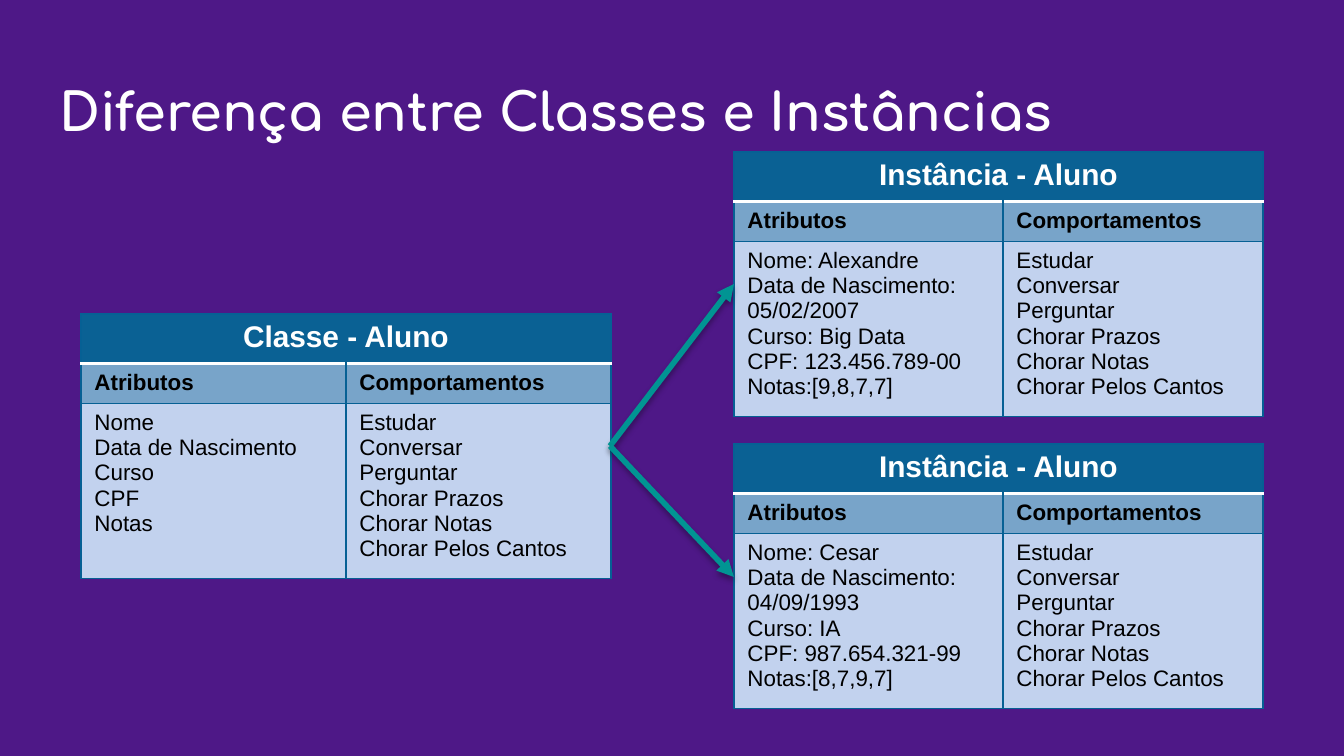
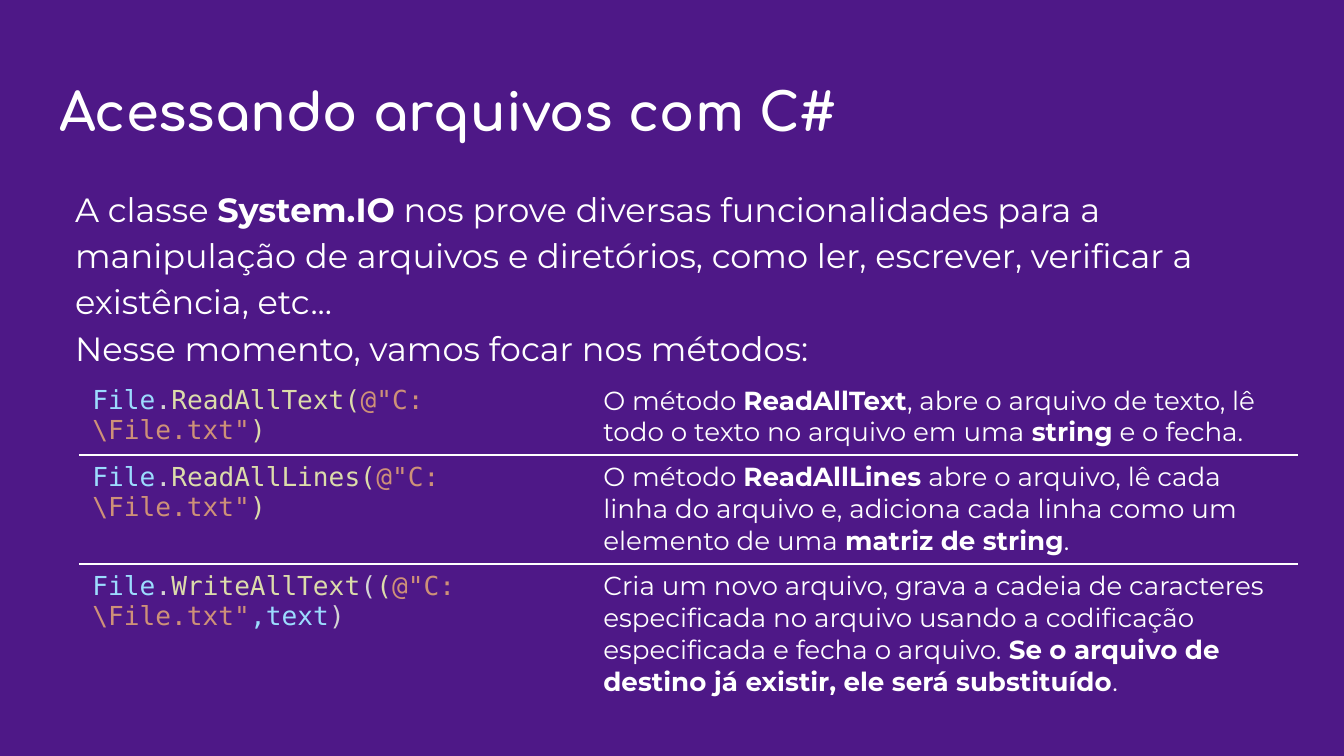
"""Build two slides: classes versus instances, and file access with C#."""
from dataclasses import dataclass

from lxml import etree
from pptx import Presentation
from pptx import util as u
from pptx.dml.color import RGBColor
from pptx.enum import shapes, text
from pptx.oxml import parse_xml
from pptx.oxml.ns import nsdecls, qn


@dataclass(frozen=True)
class Theme:
    background: str = "4E1887"
    white: str = "FFFFFF"
    black: str = "000000"
    header: str = "0A6194"
    subheader: str = "78A4C9"
    cell: str = "C2D2EE"
    border: str = "066094"
    arrow: str = "019493"
    code_name: str = "9CDCFE"
    code_mark: str = "D4D4D4"
    code_method: str = "DCDCAA"
    code_string: str = "CE9178"
    title_font: str = "Comfortaa"
    body_font: str = "Montserrat"
    table_font: str = "Arial"
    code_font: str = "DejaVu Sans Mono"
    title_size: int = 28
    body_size: int = 18
    header_size: int = 16
    method_size: int = 14
    table_size: int = 12


THEME = Theme()
PX = 6804


def write(para, runs, font, size):
    for words, colour, bold in runs:
        span = para.add_run()
        span.text = words
        span.font.name = font
        span.font.size = u.Pt(size)
        span.font.bold = bold
        span.font.color.rgb = RGBColor.from_string(colour)


def paint(cell, fill, borders):
    if fill:
        cell.fill.solid()
        cell.fill.fore_color.rgb = RGBColor.from_string(fill)
    else:
        cell.fill.background()
    properties = cell._tc.get_or_add_tcPr()
    for index, side in enumerate("LRTB"):
        colour, points = borders.get(side, (None, 0))
        line = etree.Element(qn(f"a:ln{side}"), w=str(u.Pt(points)))
        if colour:
            solid = etree.SubElement(line, qn("a:solidFill"))
            etree.SubElement(solid, qn("a:srgbClr"), val=colour)
        else:
            etree.SubElement(line, qn("a:noFill"))
        properties.insert(index, line)


deck = Presentation()
deck.slide_width = 1344 * PX
deck.slide_height = 756 * PX

pages = []
for title in ("Diferença entre Classes e Instâncias", "Acessando arquivos com C#"):
    page = deck.slides.add_slide(deck.slide_layouts[6])
    page.background.fill.solid()
    page.background.fill.fore_color.rgb = RGBColor.from_string(THEME.background)
    box = page.shapes.add_textbox(46 * PX, 66 * PX, 1253 * PX, 85 * PX)
    frame = box.text_frame
    frame.word_wrap = True
    frame.margin_left = frame.margin_right = frame.margin_top = frame.margin_bottom = u.Inches(0.1)
    write(frame.paragraphs[0], [(title, THEME.white, True)], THEME.title_font, THEME.title_size)
    pages.append(page)
class_page, file_page = pages

behaviours = ["Estudar", "Conversar", "Perguntar", "Chorar Prazos", "Chorar Notas", "Chorar Pelos Cantos"]
cards = [
    ("Classe - Aluno", 81, 314, (265, 265),
     ["Nome", "Data de Nascimento", "Curso", "CPF", "Notas"]),
    ("Instância - Aluno", 734, 152, (269, 260),
     ["Nome: Alexandre", "Data de Nascimento:", "05/02/2007", "Curso: Big Data",
      "CPF: 123.456.789-00", "Notas:[9,8,7,7]"]),
    ("Instância - Aluno", 734, 444, (269, 260),
     ["Nome: Cesar", "Data de Nascimento:", "04/09/1993", "Curso: IA",
      "CPF: 987.654.321-99", "Notas:[8,7,9,7]"]),
]
grid = dict.fromkeys("LRTB", (THEME.border, 0.75))
rule = (THEME.white, 2)
row_styles = [
    (46, THEME.header, grid | {"B": rule}),
    (39, THEME.subheader, grid | {"T": rule}),
    (164, THEME.cell, grid),
]
for heading, left, top, widths, attributes in cards:
    table = class_page.shapes.add_table(3, 2, left * PX, top * PX, sum(widths) * PX, 249 * PX).table
    table.first_row = table.horz_banding = False
    for column, width in zip(table.columns, widths):
        column.width = width * PX
    for row, (height, fill, borders) in zip(table.rows, row_styles):
        row.height = height * PX
        for cell in row.cells:
            paint(cell, fill, borders)
    table.cell(0, 0).merge(table.cell(0, 1))
    para = table.cell(0, 0).text_frame.paragraphs[0]
    para.alignment = text.PP_ALIGN.CENTER
    write(para, [(heading, THEME.white, True)], THEME.table_font, THEME.header_size)
    for index, (label, lines) in enumerate((("Atributos", attributes), ("Comportamentos", behaviours))):
        para = table.cell(1, index).text_frame.paragraphs[0]
        write(para, [(label, THEME.black, True)], THEME.table_font, THEME.table_size)
        frame = table.cell(2, index).text_frame
        for number, line in enumerate(lines):
            para = frame.add_paragraph() if number else frame.paragraphs[0]
            write(para, [(line, THEME.black, False)], THEME.table_font, THEME.table_size)

for target in (284, 577):
    arrow = class_page.shapes.add_connector(
        shapes.MSO_CONNECTOR.STRAIGHT, 610 * PX, 446 * PX, 734 * PX, target * PX)
    arrow.line.color.rgb = RGBColor.from_string(THEME.arrow)
    arrow.line.width = u.Pt(3)
    etree.SubElement(arrow.line._get_or_add_ln(), qn("a:tailEnd"), type="triangle")
    arrow._element.spPr.append(parse_xml(
        f'<a:effectLst {nsdecls("a")}><a:outerShdw blurRad="40000" dist="23000" dir="5400000" '
        f'rotWithShape="0"><a:srgbClr val="{THEME.black}"><a:alpha val="35000"/></a:srgbClr>'
        '</a:outerShdw></a:effectLst>'))

intro = [
    [("A classe ", THEME.white, False), ("System.IO", THEME.white, True),
     (" nos prove diversas funcionalidades para a manipulação de arquivos e diretórios, "
      "como ler, escrever, verificar a existência, etc...", THEME.white, False)],
    [("Nesse momento, vamos focar nos métodos:", THEME.white, False)],
]
box = file_page.shapes.add_textbox(46 * PX, 169 * PX, 1253 * PX, 552 * PX)
frame = box.text_frame
frame.word_wrap = True
frame.margin_left = frame.margin_right = frame.margin_top = frame.margin_bottom = u.Inches(0.1)
for number, runs in enumerate(intro):
    para = frame.add_paragraph() if number else frame.paragraphs[0]
    para.line_spacing = 1.15
    properties = para._p.get_or_add_pPr()
    properties.set("marL", str(16 * PX))
    properties.set("indent", "0")
    write(para, runs, THEME.body_font, THEME.body_size)

call_start = [("File", THEME.code_name, False), (".", THEME.code_mark, False)]
file_name = ('@"C:\\File.txt"', THEME.code_string, False)
methods = [
    (77,
     [("ReadAllText(", THEME.code_method, False), file_name, (")", THEME.code_method, False)],
     [("O método ", False), ("ReadAllText", True),
      (", abre o arquivo de texto, lê todo o texto no arquivo em uma ", False),
      ("string", True), (" e o fecha.", False)]),
    (109,
     [("ReadAllLines(", THEME.code_method, False), file_name, (")", THEME.code_method, False)],
     [("O método ", False), ("ReadAllLines", True),
      (" abre o arquivo, lê cada linha do arquivo e, adiciona cada linha como um elemento de uma ", False),
      ("matriz de string", True), (".", False)]),
    (140,
     [("WriteAllText", THEME.code_method, False), ("(", THEME.code_mark, False),
      ("(", THEME.code_method, False), file_name,
      (",text", THEME.code_name, False), (")", THEME.code_mark, False)],
     [("Cria um novo arquivo, grava a cadeia de caracteres especificada no arquivo usando a "
       "codificação especificada e fecha o arquivo. ", False),
      ("Se o arquivo de destino já existir, ele será substituído", True), (".", False)]),
]
table = file_page.shapes.add_table(len(methods), 2, 79 * PX, 378 * PX, 1219 * PX, 326 * PX).table
table.first_row = table.horz_banding = False
for column, width in zip(table.columns, (511, 708)):
    column.width = width * PX
for index, (height, call, description) in enumerate(methods):
    table.rows[index].height = height * PX
    borders = {}
    if index > 0:
        borders["T"] = (THEME.white, 1)
    if index < len(methods) - 1:
        borders["B"] = (THEME.white, 1)
    code_cell, text_cell = table.rows[index].cells
    for cell in (code_cell, text_cell):
        paint(cell, None, borders)
    write(code_cell.text_frame.paragraphs[0], call_start + call, THEME.code_font, THEME.method_size)
    write(text_cell.text_frame.paragraphs[0],
          [(words, THEME.white, bold) for words, bold in description],
          THEME.body_font, THEME.method_size)

deck.save("out.pptx")
